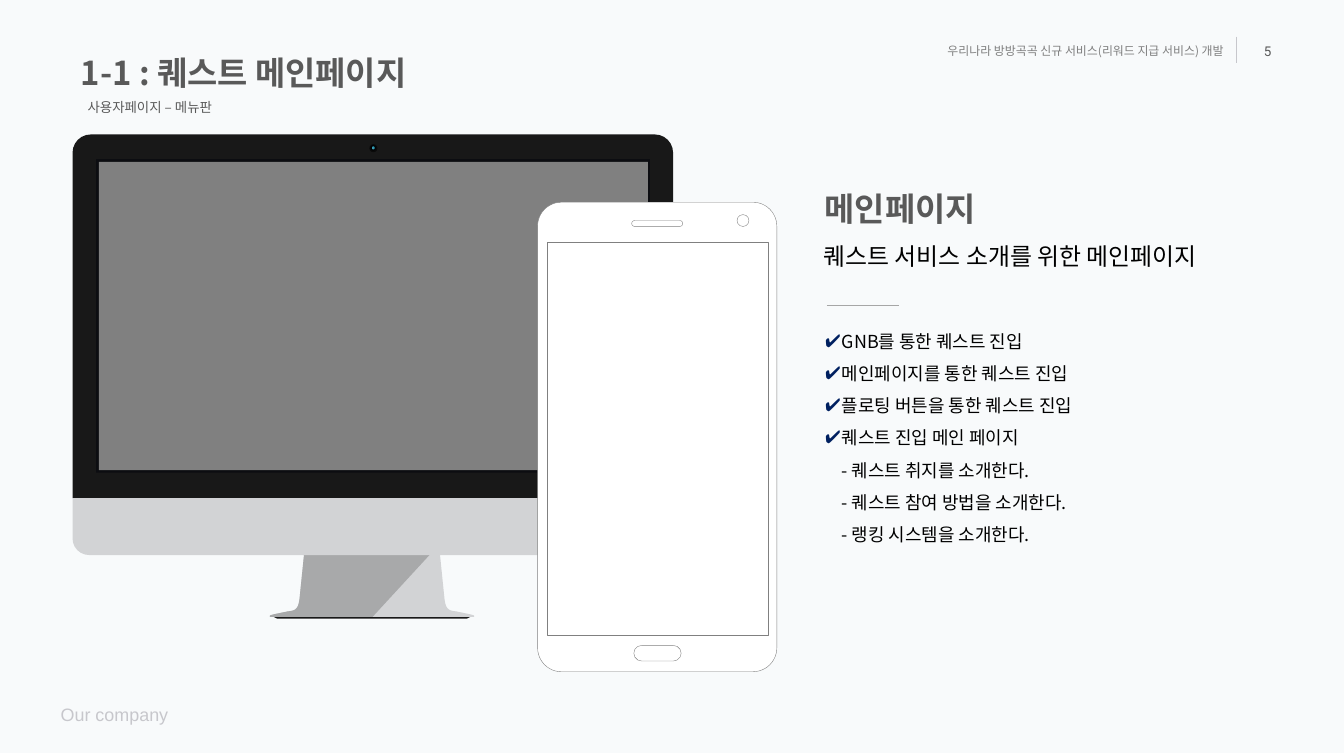
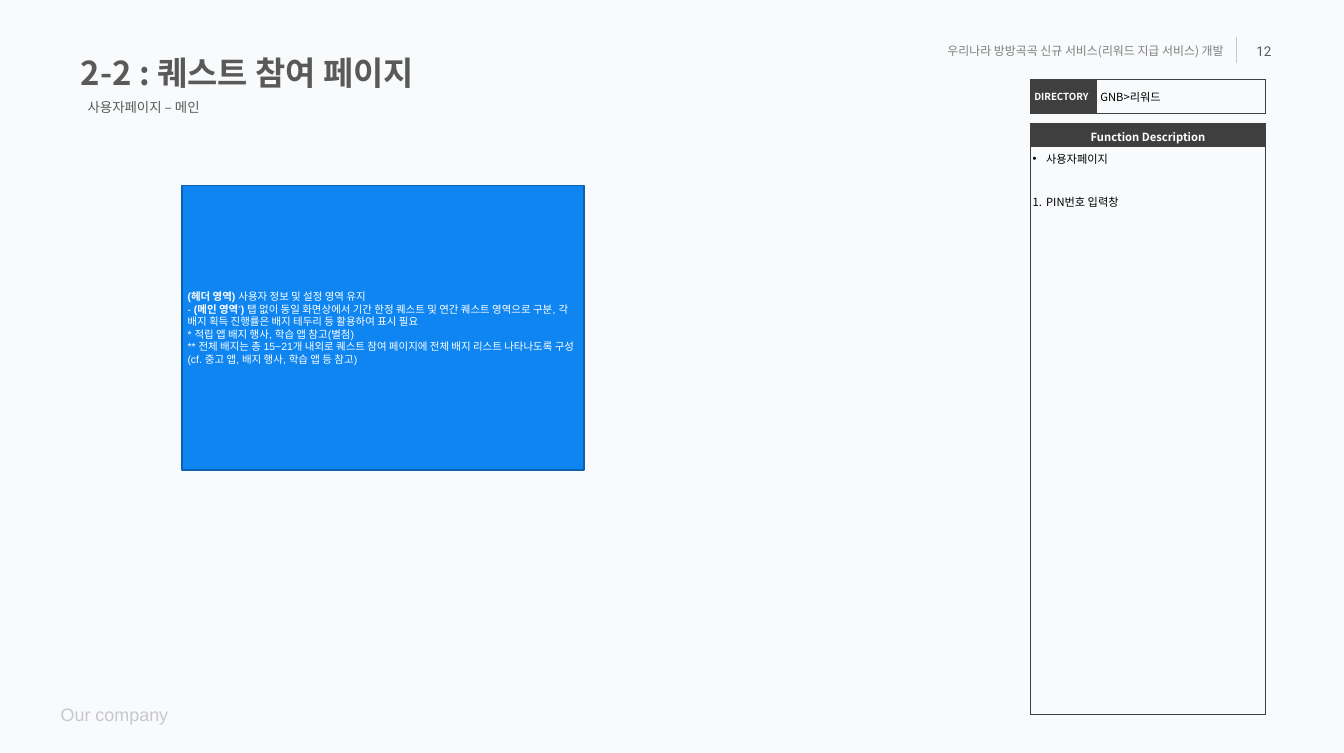
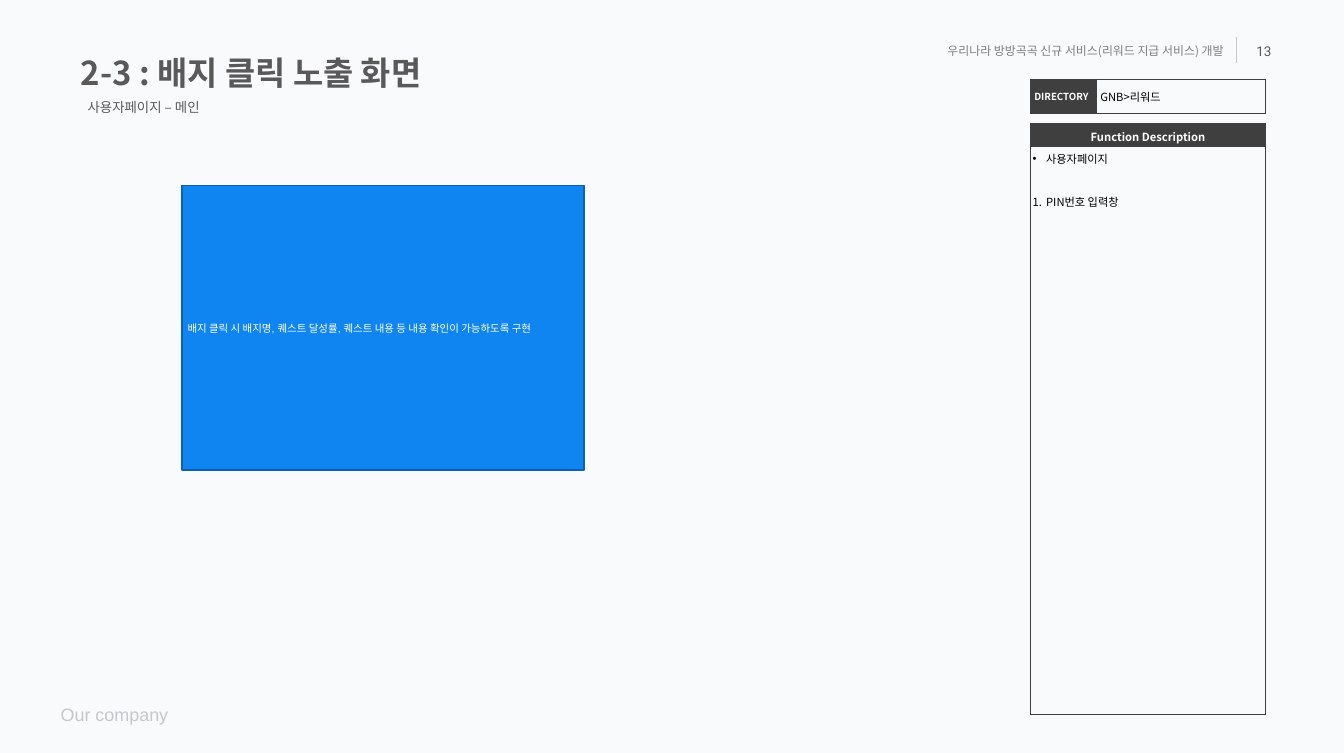
from dataclasses import dataclass

from lxml.etree import SubElement
from pptx import Presentation
from pptx.dml.color import RGBColor
from pptx.enum.shapes import MSO_CONNECTOR, MSO_SHAPE as Shape
from pptx.enum.text import MSO_ANCHOR as Anchor, MSO_AUTO_SIZE, PP_ALIGN as Align
from pptx.oxml.ns import qn
from pptx.util import Inches, Pt

# Shared colours and fonts
BACKGROUND = RGBColor(0xF8, 0xFA, 0xFB)
WHITE = RGBColor(0xFF, 0xFF, 0xFF)
BLACK = RGBColor(0x00, 0x00, 0x00)
HEADING = RGBColor(0x59, 0x59, 0x59)
MUTED = RGBColor(0x7F, 0x7F, 0x7F)
PALE = RGBColor(0xC7, 0xC7, 0xCC)
RULE = RGBColor(0xA6, 0xA6, 0xA6)
GRAY = RGBColor(0x80, 0x80, 0x80)
TABLE_DARK = RGBColor(0x3F, 0x3F, 0x3F)
CHECK = RGBColor(0x00, 0x20, 0x60)
BLUE = RGBColor(0x0F, 0x85, 0xF1)
BLUE_EDGE = RGBColor(0x0B, 0x62, 0xB2)
CASING = RGBColor(0x18, 0x18, 0x18)
BEZEL = RGBColor(0x0C, 0x0D, 0x11)
SILVER = RGBColor(0xD2, 0xD3, 0xD5)
STAND_SHADE = RGBColor(0xA8, 0xA9, 0xAA)
LENS_RIM = RGBColor(0x0A, 0x0A, 0x0A)
LENS = RGBColor(0x2C, 0x99, 0xB4)
KOREAN = "Noto Sans CJK KR"
LATIN = "Arial"

PROJECT = "우리나라 방방곡곡 신규 서비스(리워드 지급 서비스) 개발"
COMPANY = "Our company"

Box = tuple[float, float, float, float]
Point = tuple[float, float]


@dataclass(frozen=True)
class Style:
    size: float
    color: RGBColor
    font: str = KOREAN
    bold: bool = False
    align: Align = Align.LEFT
    spacing: float = 1.0


@dataclass(frozen=True)
class Part:
    text: str
    bold: bool = False
    raised: bool = False


@dataclass(frozen=True)
class Page:
    number: int
    title: str
    subtitle: str
    notes: tuple[tuple[Part, ...], ...] = ()


@dataclass(frozen=True)
class Piece:
    kind: Shape
    box: Box
    fill: RGBColor | None = None
    line: RGBColor | None = None
    adjustments: tuple[float, ...] = ()


TITLE = Style(44, HEADING, bold=True, spacing=1.5)
SUBTITLE = Style(18, HEADING, spacing=1.5)
PROJECT_STYLE = Style(16, MUTED, align=Align.RIGHT)
NUMBER = Style(18, HEADING, "Roboto", align=Align.RIGHT)
FOOTER = Style(24, PALE, LATIN, spacing=1.5)
LEAD = Style(32, BLACK, LATIN)
CHECKLIST = Style(24, BLACK, spacing=1.5)
NOTE = Style(14, WHITE, LATIN)
TABLE_LABEL = Style(13, WHITE, bold=True)
TABLE_HEAD = Style(15, WHITE, bold=True, align=Align.CENTER)
TABLE_BODY = Style(15, BLACK)

PAGES = (
    Page(5, "1-1 : 퀘스트 메인페이지", "사용자페이지 – 메뉴판"),
    Page(12, "2-2 : 퀘스트 참여 페이지", "사용자페이지 – 메인", (
        (Part("(헤더 영역) ", bold=True), Part("사용자 정보 및 설정 영역 유지")),
        (Part("- "), Part("(메인 영역", bold=True), Part("*", raised=True),
         Part(")", bold=True),
         Part(" 탭 없이 동일 화면상에서 기간 한정 퀘스트 및 연간 퀘스트 영역으로 구분, "
              "각 배지 획득 진행률은 배지 테두리 등 활용하여 표시 필요")),
        (Part("* 적립 앱 배지 행사, 학습 앱 참고(별첨)"),),
        (Part("** 전체 배지는 총 15~21개 내외로 퀘스트 참여 페이지에 전체 배지 리스트 "
              "나타나도록 구성(cf. 중고 앱, 배지 행사, 학습 앱 등 참고)"),),
    )),
    Page(13, "2-3 : 배지 클릭 노출 화면", "사용자페이지 – 메인", (
        (Part("배지 클릭 시 배지명, 퀘스트 달성률, 퀘스트 내용 등 내용 확인이 "
              "가능하도록 구현"),),
    )),
)

CHECKS = (
    "GNB를 통한 퀘스트 진입",
    "메인페이지를 통한 퀘스트 진입",
    "플로팅 버튼을 통한 퀘스트 진입",
    "퀘스트 진입 메인 페이지\n- 퀘스트 취지를 소개한다.\n"
    "- 퀘스트 참여 방법을 소개한다.\n- 랭킹 시스템을 소개한다.",
)

MONITOR = (
    Piece(Shape.ROUND_2_SAME_RECTANGLE, (1.35, 2.5, 11.17, 6.76), CASING,
          adjustments=(0.05, 0)),
    Piece(Shape.RECTANGLE, (1.79, 2.96, 10.3, 5.83), BEZEL),
    Piece(Shape.RECTANGLE, (1.84, 3.01, 10.21, 5.73), GRAY),
    Piece(Shape.OVAL, (6.87, 2.68, 0.15, 0.15), LENS_RIM),
    Piece(Shape.OVAL, (6.89, 2.7, 0.1, 0.1), BLACK),
    Piece(Shape.OVAL, (6.92, 2.72, 0.05, 0.06), LENS),
    Piece(Shape.OVAL, (6.93, 2.75, 0.01, 0.01), WHITE),
)
CHIN = Piece(Shape.ROUND_2_SAME_RECTANGLE, (1.35, 9.26, 11.17, 1.06), SILVER,
             adjustments=(0, 0.29))
PHONE = (
    Piece(Shape.ROUNDED_RECTANGLE, (10, 3.76, 4.45, 8.73), WHITE, GRAY, (0.1,)),
    Piece(Shape.ROUNDED_RECTANGLE, (11.79, 12, 0.88, 0.29), None, GRAY, (0.5,)),
    Piece(Shape.OVAL, (13.71, 3.99, 0.22, 0.22), None, GRAY),
    Piece(Shape.ROUNDED_RECTANGLE, (11.75, 4.1, 0.95, 0.11), None, GRAY, (0.5,)),
    Piece(Shape.RECTANGLE, (10.18, 4.51, 4.11, 7.3), WHITE, GRAY),
)


# Text helpers
def inches(values) -> list[int]:
    return [Inches(value) for value in values]


def format_run(run, style: Style, bold: bool) -> None:
    run.font.name = style.font
    run.font.size = Pt(style.size)
    run.font.bold = bold
    run.font.color.rgb = style.color
    SubElement(run._r.get_or_add_rPr(), qn("a:ea"), typeface=KOREAN)


def format_paragraph(paragraph, style: Style) -> None:
    paragraph.alignment = style.align
    paragraph.line_spacing = style.spacing
    for run in paragraph.runs:
        format_run(run, style, style.bold)


def write(frame, text: str, style: Style) -> None:
    frame.text = text
    format_paragraph(frame.paragraphs[0], style)


def write_list(frame, items, style: Style, indent: float) -> None:
    """Write (text, bullet, colour) items; bullet None means a number."""
    for index, (text, bullet, color) in enumerate(items):
        paragraph = frame.add_paragraph() if index else frame.paragraphs[0]
        paragraph.text = text
        properties = paragraph._p.get_or_add_pPr()
        properties.set("marL", str(Inches(indent)))
        properties.set("indent", str(-Inches(indent)))
        bullet_color = SubElement(properties, qn("a:buClr"))
        SubElement(bullet_color, qn("a:srgbClr"), val=str(color))
        if bullet:
            SubElement(properties, qn("a:buFont"), typeface=LATIN)
            SubElement(properties, qn("a:buChar"), char=bullet)
        else:
            SubElement(properties, qn("a:buFont"), typeface=KOREAN)
            SubElement(properties, qn("a:buAutoNum"), type="arabicPeriod")
        format_paragraph(paragraph, style)


def add_text_box(slide, box: Box, anchor: Anchor = Anchor.TOP):
    frame = slide.shapes.add_textbox(*inches(box)).text_frame
    frame.word_wrap = True
    frame.vertical_anchor = anchor
    return frame


# Shape helpers
def paint(shape, fill: RGBColor | None, line: RGBColor | None, width: float = 0.5) -> None:
    shape.shadow.inherit = False
    if fill is None:
        shape.fill.background()
    else:
        shape.fill.solid()
        shape.fill.fore_color.rgb = fill
    if line is None:
        shape.line.fill.background()
    else:
        shape.line.color.rgb = line
        shape.line.width = Pt(width)


def add_pieces(group, pieces: tuple[Piece, ...]) -> None:
    for piece in pieces:
        shape = group.shapes.add_shape(piece.kind, *inches(piece.box))
        for index, value in enumerate(piece.adjustments):
            shape.adjustments[index] = value
        paint(shape, piece.fill, piece.line)


def add_outline(group, points: list[Point], fill: RGBColor) -> None:
    start, *rest = [tuple(inches(point)) for point in points]
    builder = group.shapes.build_freeform(*start)
    builder.add_line_segments(rest, close=True)
    paint(builder.convert_to_shape(), fill, None)


def curve(start: Point, first: Point, second: Point, end: Point) -> list[Point]:
    """Points along a cubic curve."""
    steps = 8
    points = []
    for step in range(steps + 1):
        t = step / steps
        weights = ((1 - t) ** 3, 3 * t * (1 - t) ** 2, 3 * t * t * (1 - t), t ** 3)
        controls = (start, first, second, end)
        points.append(tuple(sum(weight * control[axis]
                                for weight, control in zip(weights, controls))
                            for axis in (0, 1)))
    return points


def add_rule(slide, start: Point, end: Point, color: RGBColor) -> None:
    rule = slide.shapes.add_connector(MSO_CONNECTOR.STRAIGHT, *inches(start + end))
    rule.line.color.rgb = color
    rule.line.width = Pt(0.75)
    SubElement(rule._element.spPr, qn("a:effectLst"))


# Tables
def add_plain_table(slide, box: Box, columns: list[float], rows: list[float]):
    table = slide.shapes.add_table(len(rows), len(columns), *inches(box)).table
    table.first_row = table.horz_banding = False
    for column, width in zip(table.columns, columns):
        column.width = Inches(width)
    for row, height in zip(table.rows, rows):
        row.height = Inches(height)
    return table


def format_cell(cell, margins: Point, fill: RGBColor | None, anchor: Anchor) -> None:
    cell.margin_left = cell.margin_right = Inches(margins[0])
    cell.margin_top = cell.margin_bottom = Inches(margins[1])
    cell.vertical_anchor = anchor
    properties = cell._tc.get_or_add_tcPr()
    for side in ("lnL", "lnR", "lnT", "lnB"):
        border = SubElement(properties, qn(f"a:{side}"), w=str(Pt(0.75)))
        solid = SubElement(border, qn("a:solidFill"))
        SubElement(solid, qn("a:srgbClr"), val=str(TABLE_DARK))
    if fill is None:
        cell.fill.background()
    else:
        cell.fill.solid()
        cell.fill.fore_color.rgb = fill


def add_description(slide) -> None:
    directory = add_plain_table(slide, (19.17, 1.47, 4.36, 0.64), [1.23, 3.13], [0.64])
    label, route = directory.cell(0, 0), directory.cell(0, 1)
    write(label.text_frame, "DIRECTORY", TABLE_LABEL)
    write(route.text_frame, "GNB>리워드", TABLE_BODY)
    for cell, fill in ((label, TABLE_DARK), (route, None)):
        format_cell(cell, (0.07, 0.07), fill, Anchor.MIDDLE)

    functions = add_plain_table(slide, (19.17, 2.3, 4.37, 10.98), [4.37], [0.41, 10.57])
    head, body = functions.cell(0, 0), functions.cell(1, 0)
    write(head.text_frame, "Function Description", TABLE_HEAD)
    write_list(body.text_frame, (("사용자페이지", "•", BLACK),
                                 ("PIN번호 입력창", None, BLACK)), TABLE_BODY, 0.25)
    body.text_frame.paragraphs[1].space_before = Pt(36)
    for cell, fill in ((head, TABLE_DARK), (body, None)):
        format_cell(cell, (0.04, 0.08), fill, Anchor.TOP)


# Slide parts
def add_page(presentation, page: Page):
    slide = presentation.slides.add_slide(presentation.slide_layouts[5])
    add_rule(slide, (23, 0.68), (23, 1.18), PALE)
    write(add_text_box(slide, (1.03, 12.84, 3.55, 0.71)), COMPANY, FOOTER)

    title = slide.shapes.title
    title.left, title.top, title.width, title.height = inches((1.4, 0.57, 9.5, 1.21))
    title.text_frame.auto_size = MSO_AUTO_SIZE.NONE
    title.text_frame.vertical_anchor = Anchor.TOP
    write(title.text_frame, page.title, TITLE)

    write(add_text_box(slide, (1.53, 1.64, 7.41, 0.56)), page.subtitle, SUBTITLE)
    write(add_text_box(slide, (14.42, 0.57, 8.44, 0.75), Anchor.MIDDLE),
          PROJECT, PROJECT_STYLE)
    write(add_text_box(slide, (23.05, 0.57, 0.7, 0.75), Anchor.MIDDLE),
          str(page.number), NUMBER)
    return slide


def add_devices(slide) -> None:
    # Monitor stand, mirrored about its centre line
    left_edge = [(5.67, 10.17),
                 *curve((5.57, 11.15), (5.54, 11.36), (5.47, 11.35), (5.34, 11.37)),
                 *curve((5.34, 11.37), (5.21, 11.4), (5.02, 11.43), (5.02, 11.45)),
                 (5.02, 11.47)]
    right_edge = [(2 * 6.92 - x, y) for x, y in reversed(left_edge)]
    monitor = slide.shapes.add_group_shape()
    add_outline(monitor, [(5.05, 11.45), (6.69, 11.36), (7.15, 11.36), (8.79, 11.45),
                          (8.69, 11.5), (5.15, 11.5)], CASING)
    add_outline(monitor, left_edge + right_edge, SILVER)
    add_outline(monitor, left_edge + [(6.93, 11.47), (8.09, 10.21), (7.55, 10.17)],
                STAND_SHADE)
    add_pieces(monitor, MONITOR + (CHIN,))
    add_pieces(slide.shapes.add_group_shape(), PHONE)


def add_main_page_text(slide) -> None:
    write(add_text_box(slide, (15.24, 3.1, 7.12, 1.12)), "메인페이지", TITLE)
    write(add_text_box(slide, (15.22, 4.45, 8.43, 0.64)),
          "퀘스트 서비스 소개를 위한 메인페이지", LEAD)
    add_rule(slide, (15.38, 5.67), (16.73, 5.67), RULE)
    write_list(add_text_box(slide, (15.25, 5.89, 8.26, 4.34)),
               [(text, "✔", CHECK) for text in CHECKS], CHECKLIST, 0.31)


def add_notes_panel(slide, notes: tuple[tuple[Part, ...], ...]) -> None:
    panel = slide.shapes.add_shape(Shape.RECTANGLE, *inches((3.39, 3.45, 7.47, 5.29)))
    paint(panel, BLUE, BLUE_EDGE, 2)
    frame = panel.text_frame
    frame.word_wrap = True
    frame.vertical_anchor = Anchor.MIDDLE
    for index, parts in enumerate(notes):
        paragraph = frame.add_paragraph() if index else frame.paragraphs[0]
        paragraph.alignment = NOTE.align
        for part in parts:
            run = paragraph.add_run()
            run.text = part.text
            format_run(run, NOTE, part.bold)
            if part.raised:
                run._r.get_or_add_rPr().set("baseline", "30000")


def main() -> None:
    presentation = Presentation()
    presentation.slide_width, presentation.slide_height = Inches(25), Inches(14)
    background = presentation.slide_master.background.fill
    background.solid()
    background.fore_color.rgb = BACKGROUND

    for page in PAGES:
        slide = add_page(presentation, page)
        if page.notes:
            add_description(slide)
            add_notes_panel(slide, page.notes)
        else:
            add_devices(slide)
            add_main_page_text(slide)
    presentation.save("out.pptx")


if __name__ == "__main__":
    main()
